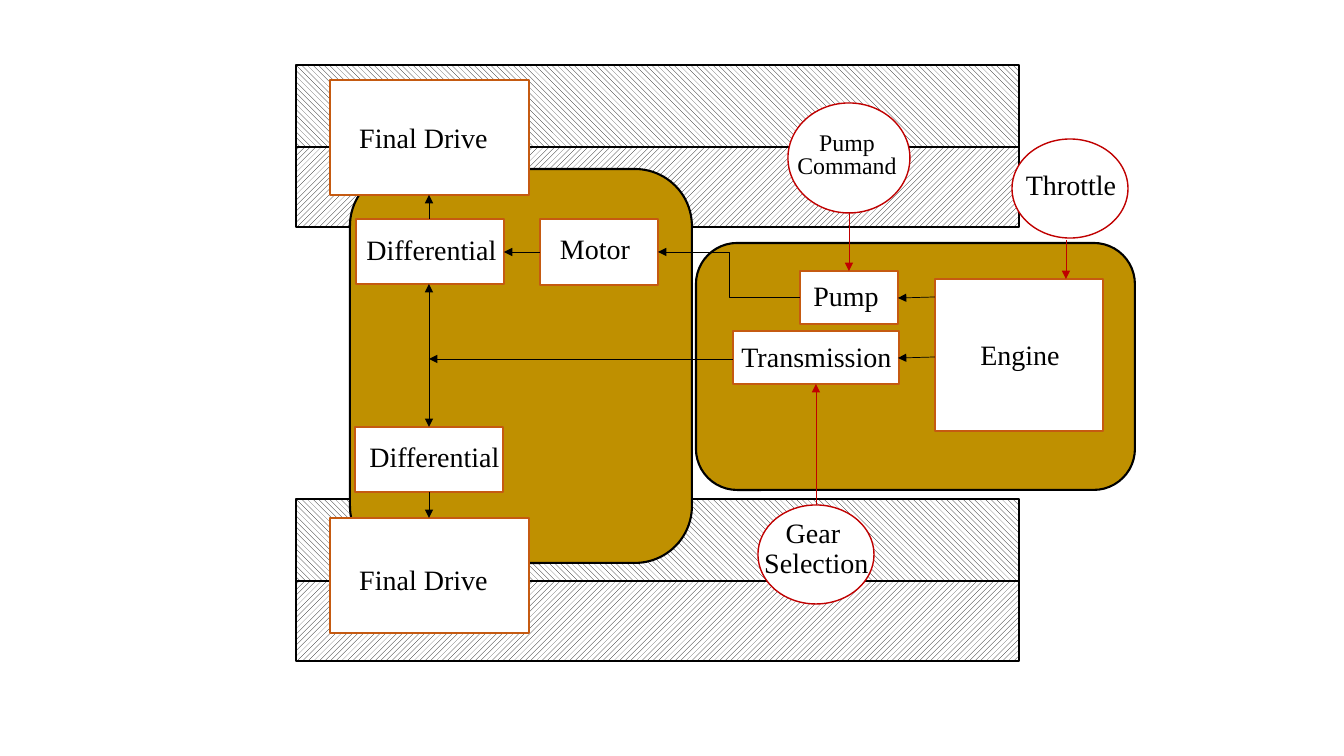
"""Draw the drivetrain layout of an articulated machine on one slide."""
from lxml.etree import SubElement
from pptx import Presentation
from pptx.dml.color import RGBColor
from pptx.enum.dml import MSO_PATTERN
from pptx.enum.shapes import MSO_CONNECTOR, MSO_SHAPE
from pptx.enum.text import MSO_ANCHOR, PP_ALIGN
from pptx.oxml.ns import qn
from pptx.util import Pt

PX = 914400 / 100.8
FONT = "Times New Roman"
BLACK, WHITE, GOLD, ORANGE, RED = "000000", "FFFFFF", "BF9000", "C55A11", "C00000"

UP, DOWN = MSO_PATTERN.WIDE_UPWARD_DIAGONAL, MSO_PATTERN.WIDE_DOWNWARD_DIAGONAL
TRACK_STRIPS = [
    (296, 579, UP), (296, 499, DOWN),
    (296, 145, UP), (296, 65, DOWN),
]
STRIP_SIZE = (723, 82)

BODIES = [(696, 243, 439, 247), (350, 169, 342, 394)]
BOXES = [
    (935, 279, 168, 152),
    (800, 271, 98, 53),
    (733, 331, 166, 53),
    (330, 518, 199, 115),
    (330, 80, 199, 115),
    (355, 427, 148, 65),
    (356, 219, 148, 65),
    (540, 219, 118, 66),
]
INPUTS = [(788, 103, 122, 110), (1012, 139, 116, 99), (758, 505, 116, 99)]

LABELS = [
    ("Engine", 962, 320, 116, 73),
    ("Pump", 788, 261, 116, 73),
    ("Transmission", 726, 322, 181, 73),
    ("Differential", 352, 215, 159, 73),
    ("Differential", 355, 422, 159, 73),
    ("Final Drive", 344, 103, 159, 73),
    ("Final Drive", 344, 545, 159, 73),
    ("Motor", 537, 214, 116, 73),
    ("Gear\n Selection", 701, 513, 224, 73),
    ("Throttle", 1013, 150, 116, 73),
]
COMMAND_LABEL = ("Pump Command", 784, 119, 126, 75)

SHAFTS = [
    (935, 297, 898, 298),
    (935, 357, 898, 358),
    (733, 359, 429, 359),
    (429, 359, 429, 284),
    (429, 359, 429, 427),
    (429, 219, 429, 195),
    (429, 492, 429, 518),
    (540, 252, 504, 252),
]
HYDRAULIC_LINE = (800, 297, 658, 252)
SIGNALS = [(849, 213, 849, 271), (816, 505, 816, 384), (1066, 240, 1066, 279)]


def px(*lengths):
    return [round(n * PX) for n in lengths]


def rgb(color):
    return RGBColor.from_string(color)


def add_block(kind, box, line, fill=WHITE, width=1, pattern=None):
    s = shapes.add_shape(kind, *px(*box))
    s.shadow.inherit = False
    if pattern:
        s.fill.patterned()
        s.fill.pattern = pattern
        s.fill.fore_color.rgb = rgb(BLACK)
        s.fill.back_color.rgb = rgb(fill)
    else:
        s.fill.solid()
        s.fill.fore_color.rgb = rgb(fill)
    s.line.color.rgb = rgb(line)
    s.line.width = Pt(width)


def add_arrow(ends, color=BLACK, kind=MSO_CONNECTOR.STRAIGHT):
    s = shapes.add_connector(kind, *px(*ends))
    s.line.color.rgb = rgb(color)
    s.line.width = Pt(0.5)
    SubElement(s.line._get_or_add_ln(), qn("a:tailEnd"), type="triangle")
    SubElement(s._element.spPr, qn("a:effectLst"))


def add_label(text, *box, size=20, spacing=0.9):
    tf = shapes.add_textbox(*px(*box)).text_frame
    tf.word_wrap = True
    tf.vertical_anchor = MSO_ANCHOR.MIDDLE
    tf.text = text
    for p in tf.paragraphs:
        p.alignment = PP_ALIGN.CENTER
        p.line_spacing = spacing
        p.font.name = FONT
        p.font.size = Pt(size)
        p.font.color.rgb = rgb(BLACK)


prs = Presentation()
prs.slide_width, prs.slide_height = px(1344, 756)
shapes = prs.slides.add_slide(prs.slide_layouts[6]).shapes

for left, top, pattern in TRACK_STRIPS:
    add_block(MSO_SHAPE.RECTANGLE, (left, top, *STRIP_SIZE), BLACK, pattern=pattern)
for box in BODIES:
    add_block(MSO_SHAPE.ROUNDED_RECTANGLE, box, BLACK, GOLD, 1.5)
for box in BOXES:
    add_block(MSO_SHAPE.RECTANGLE, box, ORANGE)
for ends in SHAFTS:
    add_arrow(ends)
add_arrow(HYDRAULIC_LINE, kind=MSO_CONNECTOR.ELBOW)
for ends in SIGNALS:
    add_arrow(ends, RED)
for box in INPUTS:
    add_block(MSO_SHAPE.OVAL, box, RED)
for label in LABELS:
    add_label(*label)
add_label(*COMMAND_LABEL, size=17, spacing=0.8)

prs.save("out.pptx")
